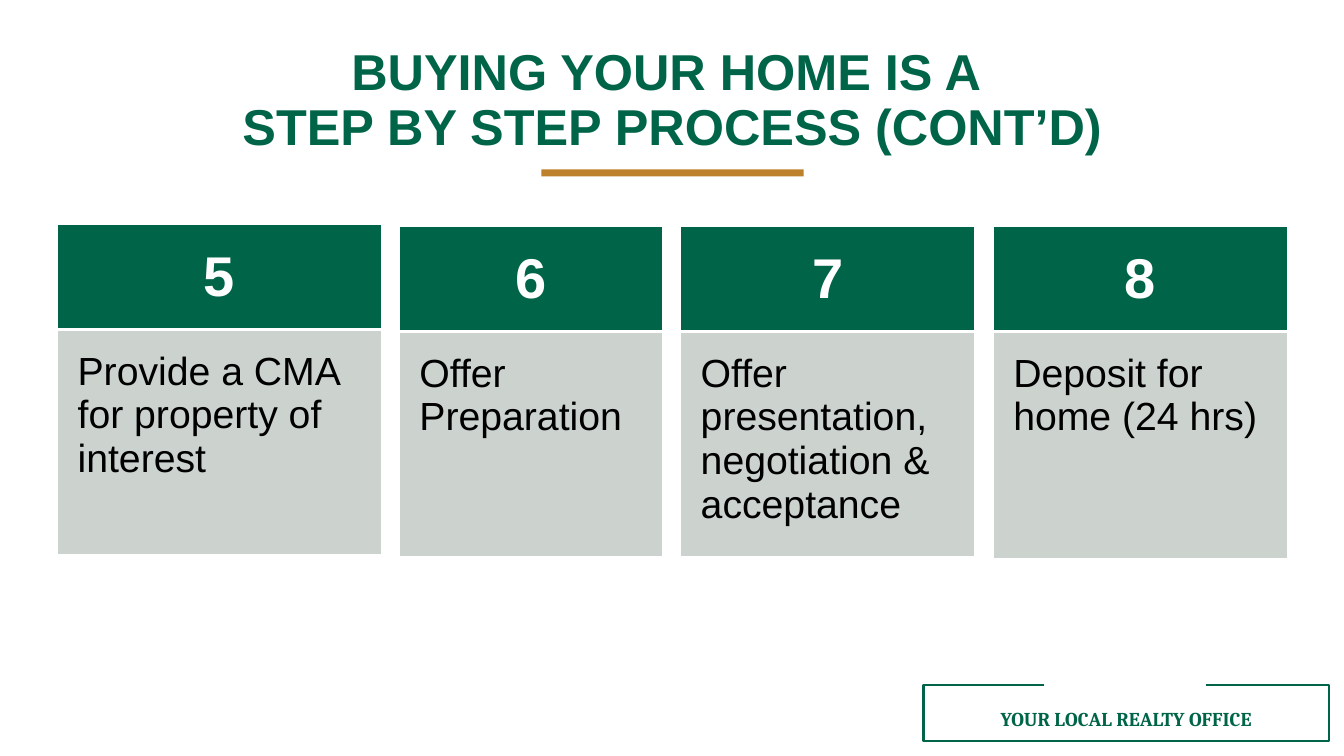
from lxml import etree
from pptx import Presentation
from pptx.dml.color import RGBColor
from pptx.enum.shapes import MSO_SHAPE
from pptx.enum.text import MSO_ANCHOR, PP_ALIGN
from pptx.oxml.ns import qn
from pptx.util import Inches, Pt

RECTANGLE = MSO_SHAPE.RECTANGLE
TOP = MSO_ANCHOR.TOP
MIDDLE = MSO_ANCHOR.MIDDLE
LEFT = PP_ALIGN.LEFT
CENTER = PP_ALIGN.CENTER

GREEN = "006548"
GOLD = "BD802B"
GREY = "CCD3CF"
WHITE = "FFFFFF"
BLACK = "000000"


def color(value):
    return RGBColor.from_string(value)


def add_text(paragraph, text, size, text_color, bold=True, font_name="Arial"):
    run = paragraph.add_run()
    run.text = text
    run.font.name = font_name
    run.font.size = Pt(size)
    run.font.bold = bold
    run.font.color.rgb = color(text_color)


presentation = Presentation()
presentation.slide_width = Inches(13.33)
presentation.slide_height = Inches(7.5)
slide = presentation.slides.add_slide(presentation.slide_layouts[5])
for placeholder in list(slide.placeholders):
    if placeholder != slide.shapes.title:
        placeholder.element.getparent().remove(placeholder.element)

company_box = slide.shapes.add_textbox(Inches(9.16), Inches(6.96), Inches(4.02), Inches(0.34))
company_box.text_frame.word_wrap = True
company_paragraph = company_box.text_frame.paragraphs[0]
company_paragraph.alignment = CENTER
add_text(company_paragraph, "YOUR LOCAL REALTY OFFICE", 14, GREEN, font_name="Cambria")

frame_points = [(9.16, 6.8), (9.16, 7.35), (13.18, 7.35), (13.18, 6.8), (11.96, 6.8)]
builder = slide.shapes.build_freeform(Inches(10.35), Inches(6.8))
builder.add_line_segments([(Inches(x), Inches(y)) for x, y in frame_points], close=False)
company_frame = builder.convert_to_shape()
company_frame.shadow.inherit = False
company_frame.fill.background()
company_frame.line.color.rgb = color(GREEN)
company_frame.line.width = Pt(1.5)

title_rule = slide.shapes.add_shape(RECTANGLE, Inches(5.37), Inches(1.68), Inches(2.6), Inches(0.07))
title_rule.shadow.inherit = False
title_rule.fill.solid()
title_rule.fill.fore_color.rgb = color(GOLD)
title_rule.line.fill.background()

title = slide.shapes.title
title.left, title.top = Inches(0.51), Inches(0.42)
title.width, title.height = Inches(12.32), Inches(0.64)
title.text_frame.word_wrap = True
title.text_frame.vertical_anchor = TOP
title_paragraph = title.text_frame.paragraphs[0]
title_paragraph.alignment = CENTER
title_paragraph.line_spacing = 0.9
title_paragraph.space_before = Pt(0)
add_text(title_paragraph, "BUYING YOUR HOME IS A ", 36, GREEN)
title_paragraph.add_line_break()
add_text(title_paragraph, "STEP BY STEP PROCESS (CONT’D)", 36, GREEN)

steps = [
    ("5", "Provide a CMA for property of interest", 0.57, 2.23, 3.21, 2.23),
    ("6", "Offer Preparation", 3.96, 2.25, 2.61, 2.23),
    ("7", "Offer presentation, negotiation & acceptance", 6.75, 2.25, 2.92, 2.23),
    ("8", "Deposit for home (24 hrs)", 9.85, 2.25, 2.92, 2.25),
]
header_height = 1.04
header_borders = {"a:lnL": 1, "a:lnR": 1, "a:lnT": 1, "a:lnB": 3}
body_borders = {"a:lnL": 1, "a:lnR": 1, "a:lnT": 3, "a:lnB": 1}

for number, description, left, top, width, body_height in steps:
    table = slide.shapes.add_table(
        2, 1, Inches(left), Inches(top), Inches(width), Inches(header_height + body_height)
    ).table
    table.rows[0].height = Inches(header_height)
    table.rows[1].height = Inches(body_height)

    cell_styles = [
        (number, 40, WHITE, True, CENTER, MIDDLE, GREEN, header_borders),
        (description, 28, BLACK, False, LEFT, TOP, GREY, body_borders),
    ]
    for row, (text, size, text_color, bold, alignment, anchor, fill, borders) in enumerate(cell_styles):
        cell = table.cell(row, 0)
        cell.vertical_anchor = anchor
        properties = cell._tc.get_or_add_tcPr()
        for edge, points in borders.items():
            border = etree.SubElement(properties, qn(edge), w=str(Pt(points)))
            border_fill = etree.SubElement(border, qn("a:solidFill"))
            etree.SubElement(border_fill, qn("a:srgbClr"), val=WHITE)
        cell.fill.solid()
        cell.fill.fore_color.rgb = color(fill)
        paragraph = cell.text_frame.paragraphs[0]
        paragraph.alignment = alignment
        add_text(paragraph, text, size, text_color, bold)

    body_cell = table.cell(1, 0)
    body_cell.margin_left = body_cell.margin_top = body_cell.margin_right = Inches(0.2)
    body_cell.margin_bottom = Inches(0.05)

presentation.save("out.pptx")
